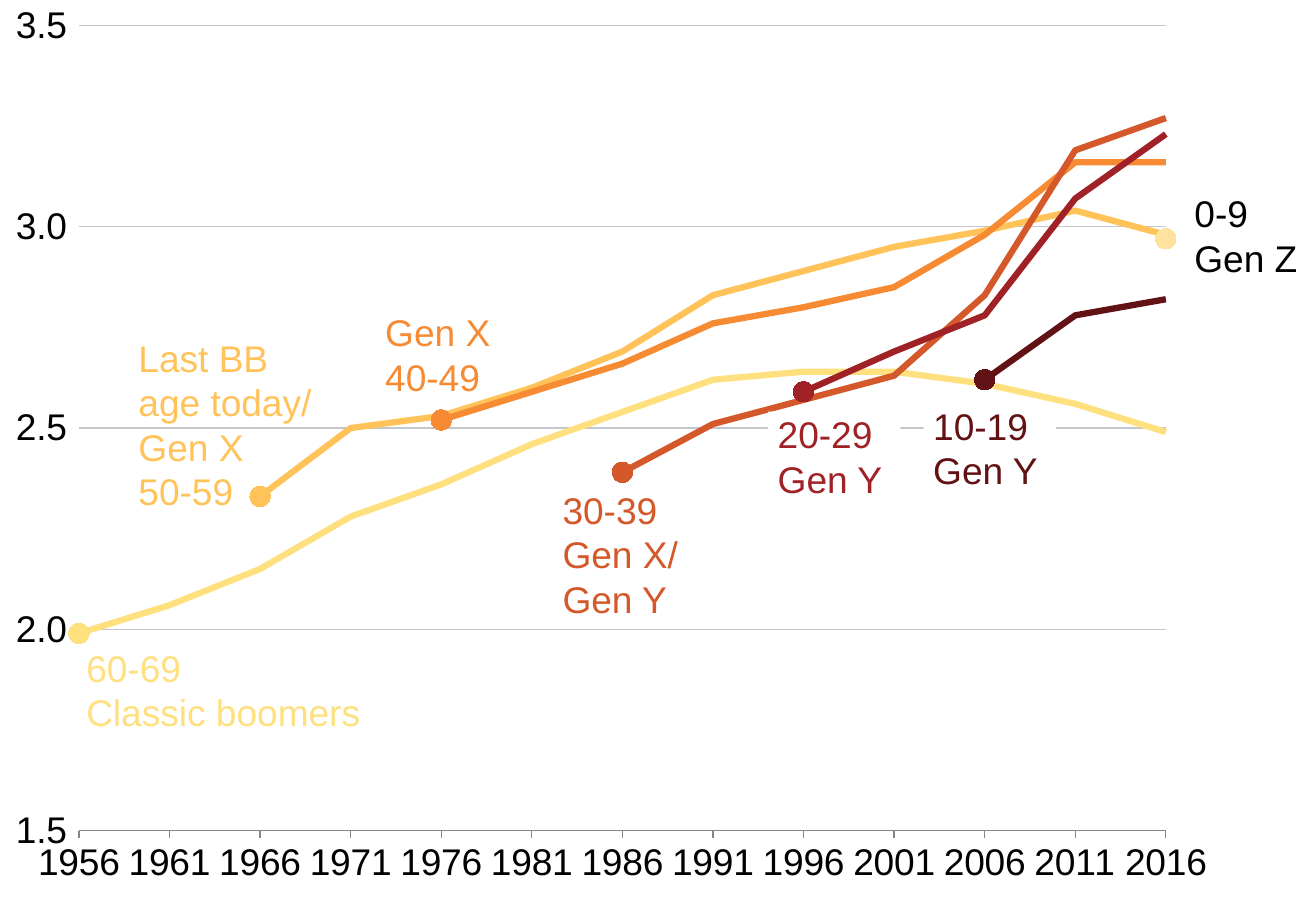
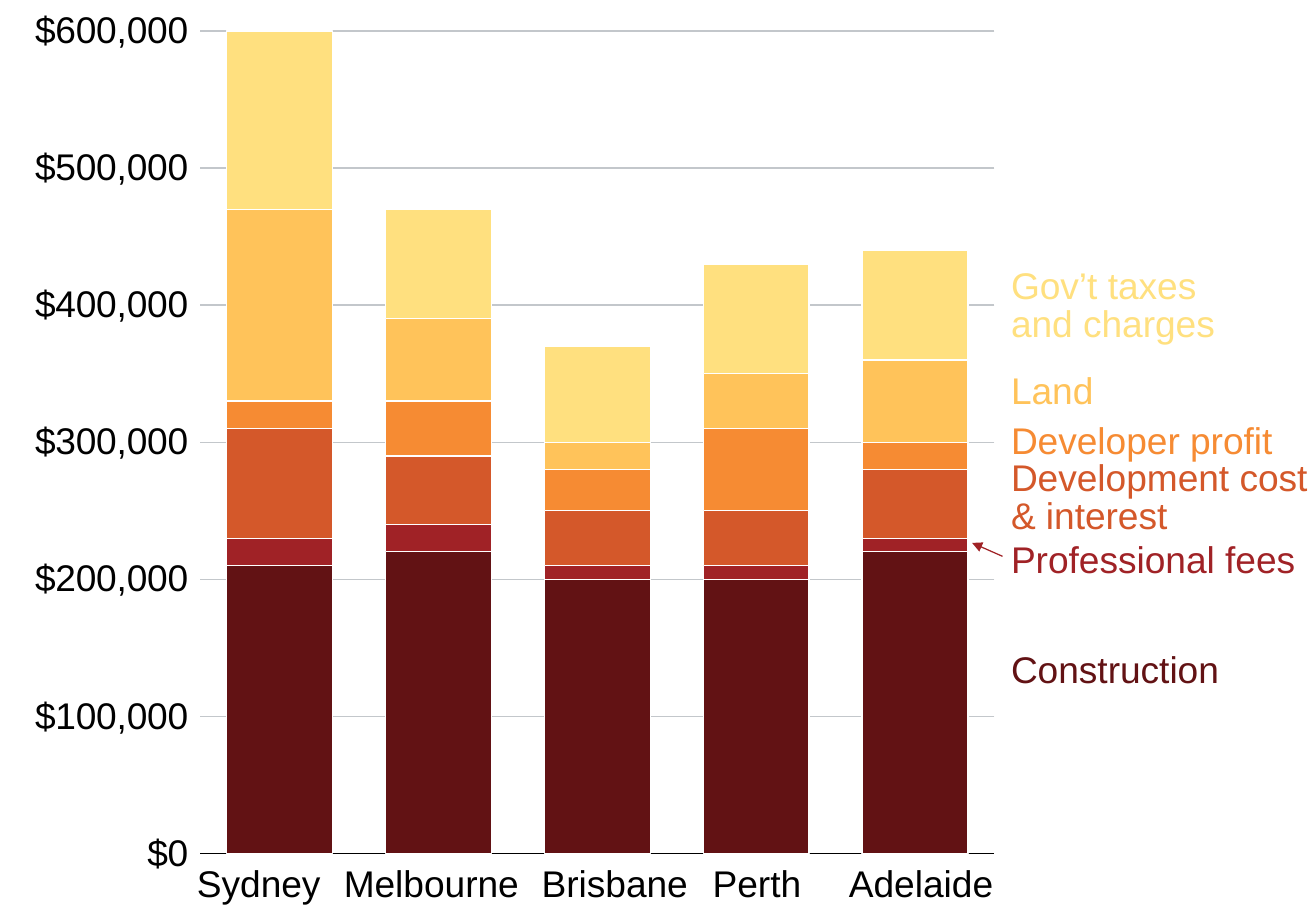
import pptx
import pptx.chart.data
import pptx.dml.color
import pptx.enum.chart
import pptx.enum.shapes
import pptx.enum.text
import pptx.oxml
import pptx.oxml.ns
import pptx.util

PX = 9144  # 100 px to the inch
FONT = "Arial"
LABEL_SIZE = pptx.util.Pt(22)
HAIRLINE = pptx.util.Pt(0.75)
BLACK, WHITE, GRID, AXIS = "000000", "FFFFFF", "C3C7CB", "868686"
CREAM, AMBER, ORANGE, RUST, RED, MAROON = PALETTE = (
    "FFE07F", "FFC35A", "F68B33", "D4582A", "A02226", "621214")
PALE = "FFE1A0"

TICK = pptx.enum.chart.XL_TICK_MARK
MARKER = pptx.enum.chart.XL_MARKER_STYLE
CHART = pptx.enum.chart.XL_CHART_TYPE


def rgb(color):
    return pptx.dml.color.RGBColor.from_string(color)


def add_label(slide, box, lines, color, inset=0, spacing=None, align=None, fill=None):
    left, top, width, height = (value * PX for value in box)
    label = slide.shapes.add_textbox(left, top, width, height)
    if fill:
        label.fill.solid()
        label.fill.fore_color.rgb = rgb(fill)
    frame = label.text_frame
    frame.word_wrap = True
    frame.auto_size = pptx.enum.text.MSO_AUTO_SIZE.SHAPE_TO_FIT_TEXT
    frame.margin_left = frame.margin_right = inset * PX
    frame.margin_top = frame.margin_bottom = 0
    frame.text = "\n".join(lines)
    for paragraph in frame.paragraphs:
        paragraph.alignment = align
        paragraph.line_spacing = spacing
        paragraph.font.name = FONT
        paragraph.font.size = LABEL_SIZE
        paragraph.font.color.rgb = rgb(color)


deck = pptx.Presentation()
deck.slide_width, deck.slide_height = 1083 * PX, 750 * PX
blank = deck.slide_layouts[6]

# Millions of people per generation, each run ending in 2016
years = [str(year) for year in range(1956, 2017, 5)]
cohorts = [
    (CREAM, [1.99, 2.06, 2.15, 2.28, 2.36, 2.46, 2.54, 2.62, 2.64, 2.64, 2.61, 2.56, 2.49]),
    (AMBER, [2.33, 2.5, 2.53, 2.6, 2.69, 2.83, 2.89, 2.95, 2.99, 3.04, 2.98]),
    (ORANGE, [2.52, 2.59, 2.66, 2.76, 2.8, 2.85, 2.98, 3.16, 3.16]),
    (RUST, [2.39, 2.51, 2.57, 2.63, 2.83, 3.19, 3.27]),
    (RED, [2.59, 2.69, 2.78, 3.07, 3.23]),
    (MAROON, [2.62, 2.78, 2.82]),
    (PALE, [2.97]),
]
population = pptx.chart.data.CategoryChartData()
population.categories = years
for number, (_, millions) in enumerate(cohorts, 1):
    gap = [None] * (len(years) - len(millions))
    population.add_series(f"Series {number}", gap + [round(v * 1_000_000) for v in millions])

# Thousands of dollars, Sydney to Adelaide
costs = [
    [210, 220, 200, 200, 220],
    [20, 20, 10, 10, 10],
    [80, 50, 40, 40, 50],
    [20, 40, 30, 60, 20],
    [140, 60, 20, 40, 60],
    [130, 80, 70, 80, 80],
]
housing = pptx.chart.data.CategoryChartData()
housing.categories = ["1", "2", "3", "4", "5"]
for number, thousands in enumerate(costs, 1):
    housing.add_series(f"Series {number}", [v * 1000 for v in thousands])

# Kind, data, left, width, number format, minimum, maximum, step, axis line, inner plot area
charts = [
    (CHART.LINE_MARKERS, population, 0, 1083, "0.0,,", 1_500_000, 3_500_000, 500_000, AXIS,
     (0.06, 0.028, 0.826, 0.884)),
    (CHART.COLUMN_STACKED, housing, 1, 835, '"$"#,##0', 0, 600_000, 100_000, BLACK,
     (0.196, 0.034, 0.783, 0.903)),
]
slides, plots = [], []
for kind, data, left, width, number_format, low, high, step, axis_color, area in charts:
    slide = deck.slides.add_slide(blank)
    chart = slide.shapes.add_chart(kind, left * PX, 0, width * PX, 750 * PX, data).chart
    chart.has_legend = chart.has_title = False
    chart.font.name = FONT
    chart.font.size = pptx.util.Pt(18)
    chart.font.color.rgb = rgb(BLACK)

    values, categories = chart.value_axis, chart.category_axis
    values.minimum_scale, values.maximum_scale, values.major_unit = low, high, step
    values.tick_labels.number_format = number_format
    values.tick_labels.number_format_is_linked = False
    values.format.line.fill.background()
    values.has_major_gridlines = True
    values.major_gridlines.format.line.color.rgb = rgb(GRID)
    values.major_gridlines.format.line.width = HAIRLINE
    categories.has_major_gridlines = False
    categories.format.line.color.rgb = rgb(axis_color)
    categories.format.line.width = HAIRLINE
    for axis in (values, categories):
        axis.major_tick_mark = TICK.OUTSIDE
        axis.minor_tick_mark = TICK.NONE
        axis.tick_labels.font.size = LABEL_SIZE

    plot_area = chart.plots[0]._element.getparent()
    for layout in plot_area.findall(pptx.oxml.ns.qn("c:layout")):
        plot_area.remove(layout)
    sizes = "".join(f'<c:{tag} val="{v}"/>' for tag, v in zip("xywh", area))
    plot_area.insert(0, pptx.oxml.parse_xml(
        f'<c:layout {pptx.oxml.ns.nsdecls("c")}><c:manualLayout><c:layoutTarget val="inner"/>'
        f'<c:xMode val="edge"/><c:yMode val="edge"/>{sizes}</c:manualLayout></c:layout>'))
    plots.append(chart.plots[0])
    plots[-1].vary_by_categories = False
    slides.append(slide)

generations, cities = slides
lines, columns = plots

# Lines start on the axis, and each has a dot at its first year
crosses = generations.shapes[0].chart.value_axis._element.find(pptx.oxml.ns.qn("c:crosses"))
crosses.addnext(pptx.oxml.parse_xml(
    f'<c:crossBetween {pptx.oxml.ns.nsdecls("c")} val="midCat"/>'))
for series, (color, millions) in zip(lines.series, cohorts):
    series.smooth = False
    series.marker.style = MARKER.NONE
    first = series.points[len(years) - len(millions)]
    for part in (series, first):
        part.format.line.color.rgb = rgb(color)
        part.format.line.width = pptx.util.Pt(3.75)
    first.marker.style = MARKER.CIRCLE
    first.marker.size = 12
    first.marker.format.fill.solid()
    first.marker.format.fill.fore_color.rgb = rgb(color)
    first.marker.format.line.fill.background()

for box, text, color, fill in [
    ((63, 531, 249, 74), ["60-69", "Classic boomers"], CREAM, WHITE),
    ((106, 276, 164, 148), ["Last BB", "age today/ Gen X", "50-59"], AMBER, None),
    ((309, 255, 108, 74), ["Gen X", "40-49"], ORANGE, None),
    ((455, 401, 127, 111), ["30-39", "Gen X/ Gen Y"], RUST, WHITE),
    ((632, 339, 109, 74), ["20-29", "Gen Y"], RED, WHITE),
    ((760, 332, 109, 74), ["10-19", "Gen Y"], MAROON, WHITE),
    ((975, 157, 106, 74), ["0-9", "Gen Z"], BLACK, None),
]:
    add_label(generations, box, text, color, inset=8, fill=fill)

columns.gap_width, columns.overlap = 50, 100
city_axis = cities.shapes[0].chart.category_axis
city_axis.major_tick_mark = TICK.NONE
city_axis.tick_label_position = pptx.enum.chart.XL_TICK_LABEL_POSITION.NONE
for series, color in zip(columns.series, reversed(PALETTE)):
    series.invert_if_negative = False
    series.format.fill.solid()
    series.format.fill.fore_color.rgb = rgb(color)
    series.format.line.color.rgb = rgb(WHITE)
    series.format.line.width = HAIRLINE

for top, text, color in [
    (222, ["Gov’t taxes", "and charges"], CREAM),
    (308, ["Land"], AMBER),
    (349, ["Developer profit"], ORANGE),
    (380, ["Development cost & interest"], RUST),
    (447, ["Professional fees"], RED),
    (538, ["Construction"], MAROON),
]:
    add_label(cities, (832, top, 251, 32), text, color, spacing=0.85)

for left, city in [(128, "Sydney"), (270, "Melbourne"), (421, "Brisbane"),
                   (538, "Perth"), (673, "Adelaide")]:
    add_label(cities, (left, 714, 170, 32), [city], BLACK, spacing=0.85,
              align=pptx.enum.text.PP_ALIGN.CENTER)

fees_arrow = cities.shapes.add_connector(
    pptx.enum.shapes.MSO_CONNECTOR.STRAIGHT, 825 * PX, 458 * PX, 800 * PX, 447 * PX)
fees_arrow.line.color.rgb = rgb(RED)
fees_arrow.line.width = HAIRLINE
namespace = pptx.oxml.ns.nsdecls("a")
fees_arrow.get_or_add_ln().append(
    pptx.oxml.parse_xml(f'<a:tailEnd {namespace} type="triangle"/>'))
fees_arrow._element.spPr.append(pptx.oxml.parse_xml(f"<a:effectLst {namespace}/>"))

deck.save("out.pptx")
